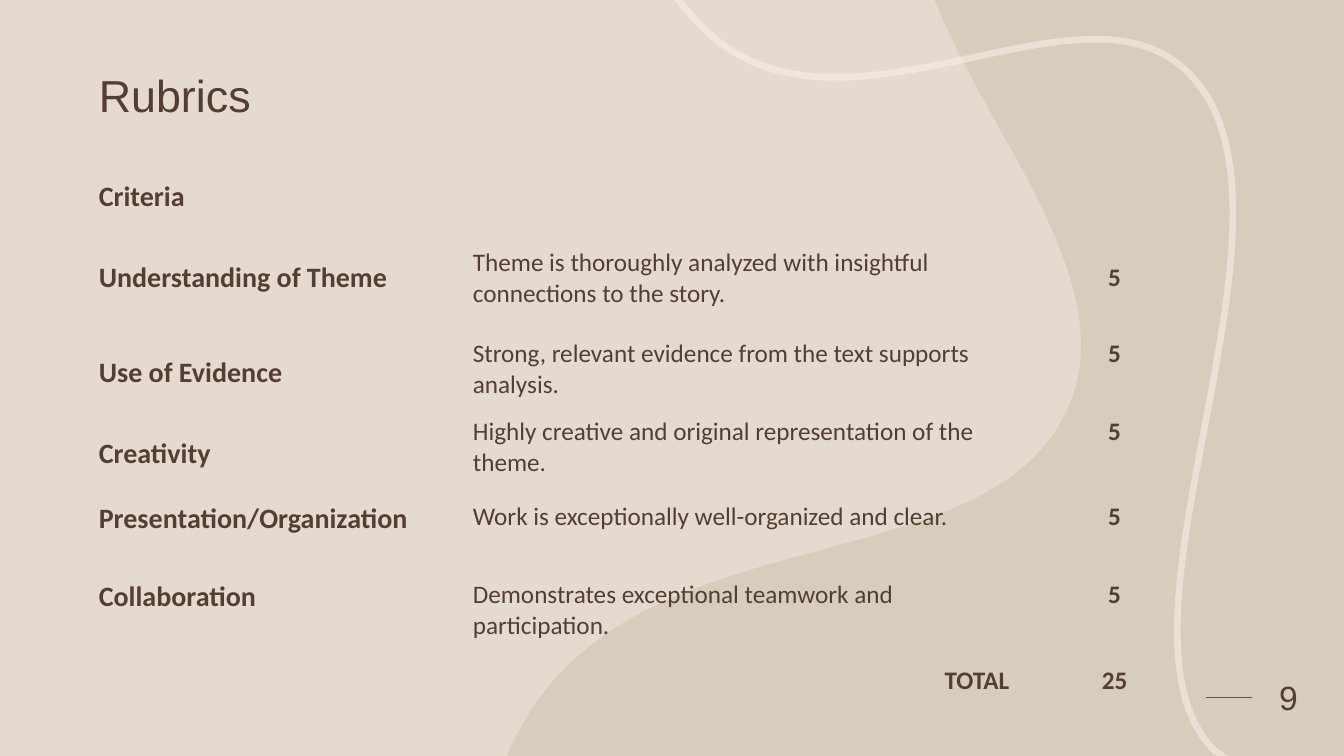
from lxml.etree import SubElement
from pptx import Presentation
from pptx.dml.color import RGBColor
from pptx.enum.shapes import MSO_CONNECTOR
from pptx.enum.text import MSO_ANCHOR, PP_ALIGN
from pptx.oxml.ns import qn
from pptx.util import Inches, Pt

BROWN = "543E34"


def paint(color_format, hex_color, opacity=100):
    """Set a colour, with opacity in percent."""
    color_format.rgb = RGBColor.from_string(hex_color)
    if opacity < 100:
        color = color_format._xFill.find(qn("a:srgbClr"))
        SubElement(color, qn("a:alpha"), val=str(opacity * 1000))


def draw_outline(shapes, start, segments, width, close):
    """Build a freeform; a segment is one line end or three Bezier points."""
    builder = shapes.build_freeform(Inches(start[0]), Inches(start[1]))
    builder.add_line_segments(
        [(Inches(x), Inches(y)) for x, y in (segment[-1] for segment in segments)], close=close)
    outline = builder.convert_to_shape()
    outline.shadow.inherit = False
    outline.width = Inches(width)
    contour = next(outline._element.iter(qn("a:path")))
    contour.set("w", str(outline.width))
    for edge, segment in zip(contour.findall(qn("a:lnTo")), segments):
        if len(segment) == 3:
            edge.tag = qn("a:cubicBezTo")
            end = edge[0]
            for x, y in segment[:2]:
                SubElement(edge, qn("a:pt"), x=str(Inches(x) - outline.left),
                           y=str(Inches(y) - outline.top))
            edge.append(end)
    return outline


deck = Presentation()
deck.slide_width, deck.slide_height = Inches(13.33), Inches(7.5)
page = deck.slides.add_slide(deck.slide_layouts[5])
page.background.fill.solid()
paint(page.background.fill.fore_color, "E5DACF")

# Background shapes
dash = page.shapes.add_connector(
    MSO_CONNECTOR.STRAIGHT, Inches(11.96), Inches(6.92), Inches(12.42), Inches(6.92))
paint(dash.line.color, BROWN)
dash.line.width = Pt(1.25)
SubElement(dash._element.spPr, qn("a:effectLst"))

blob = draw_outline(page.shapes, (9.27, 0), [
    [(13.33, 0)], [(13.33, 7.5)], [(5.03, 7.5)], [(5.07, 7.4)],
    [(5.11, 7.31), (5.15, 7.25), (5.17, 7.21)],
    [(6.31, 5.12), (9.62, 5.78), (10.52, 4.19)],
    [(11.23, 2.96), (9.88, 1.46), (9.32, 0.12)],
], width=8.3, close=True)
blob.fill.solid()
paint(blob.fill.fore_color, "A09D79", 20)
blob.line.fill.background()

ribbon = draw_outline(page.shapes, (12.17, 7.53), [
    [(12.14, 7.51)], [(12.05, 7.45)],
    [(10.84, 6.27), (13.07, 2.2), (11.85, 0.79)],
    [(10.78, -0.47), (8.2, 1.8), (6.83, 0.12)],
    [(6.8, 0.09), (6.76, 0.04), (6.71, -0.03)],
], width=5.52, close=False)
ribbon.fill.background()
ribbon.line.fill.solid()
paint(ribbon.line.color, "FEF3ED", 50)
ribbon.line.width = Pt(4.75)

# Title and page number
title = page.shapes.title
title.left, title.top, title.width, title.height = (
    Inches(0.88), Inches(0.26), Inches(11.33), Inches(1))
number = page.shapes.add_textbox(Inches(12.42), Inches(6.43), Inches(0.72), Inches(0.98))
for box, text, size, anchor, align in (
    (title, "Rubrics", 32, MSO_ANCHOR.BOTTOM, PP_ALIGN.LEFT),
    (number, "9", 24, MSO_ANCHOR.MIDDLE, PP_ALIGN.CENTER),
):
    box.text_frame.word_wrap = True
    box.text_frame.vertical_anchor = anchor
    para = box.text_frame.paragraphs[0]
    para.alignment = align
    span = para.add_run()
    span.text = text
    span.font.name, span.font.size = "Arial", Pt(size)
    paint(span.font.color, BROWN)
title.text_frame.paragraphs[0].line_spacing = 0.9

# Rubric table: criterion, description, points, row height, middle-anchored columns
rubric = [
    ("Criteria", "", "", 0.48, 0),
    ("Understanding of Theme",
     "Theme is thoroughly analyzed with insightful connections to the story.", "5", 1.1, 3),
    ("Use of Evidence",
     "Strong, relevant evidence from the text supports analysis.", "5", 0.77, 1),
    ("Creativity",
     "Highly creative and original representation of the theme.", "5", 0.85, 1),
    ("Presentation/Organization",
     "Work is exceptionally well-organized and clear.", "5", 0.77, 0),
    ("Collaboration",
     "Demonstrates exceptional teamwork and participation.", "5", 0.85, 0),
    ("TOTAL", "", "25", 0.45, 0),
]
frame = page.shapes.add_table(
    len(rubric), 3, Inches(0.88), Inches(1.73), Inches(11.12), Inches(5.26))
table = frame.table
table.first_row = table.horz_banding = False
# "No Style, No Grid"
table._tbl.tblPr.find(qn("a:tableStyleId")).text = "{2D5ABB26-0587-4C30-8999-92F81FD0307C}"
for column, width in zip(table.columns, (3.71, 5.52, 1.89)):
    column.width = Inches(width)

total_row = len(rubric) - 1
table.cell(total_row, 0).merge(table.cell(total_row, 1))
for row, (*texts, height, middle_columns) in enumerate(rubric):
    table.rows[row].height = Inches(height)
    for column, text in enumerate(texts):
        cell = table.cell(row, column)
        cell.fill.background()
        if column < middle_columns:
            cell.vertical_anchor = MSO_ANCHOR.MIDDLE
        if not text:
            continue
        para = cell.text_frame.paragraphs[0]
        if column == 2:
            para.alignment = PP_ALIGN.CENTER
        elif row == total_row:
            para.alignment = PP_ALIGN.RIGHT
        span = para.add_run()
        span.text = text
        span.font.name = "Calibri"
        span.font.size = Pt(20 if column == 0 and row != total_row else 18)
        span.font.bold = column != 1
        paint(span.font.color, BROWN)

deck.save("out.pptx")
